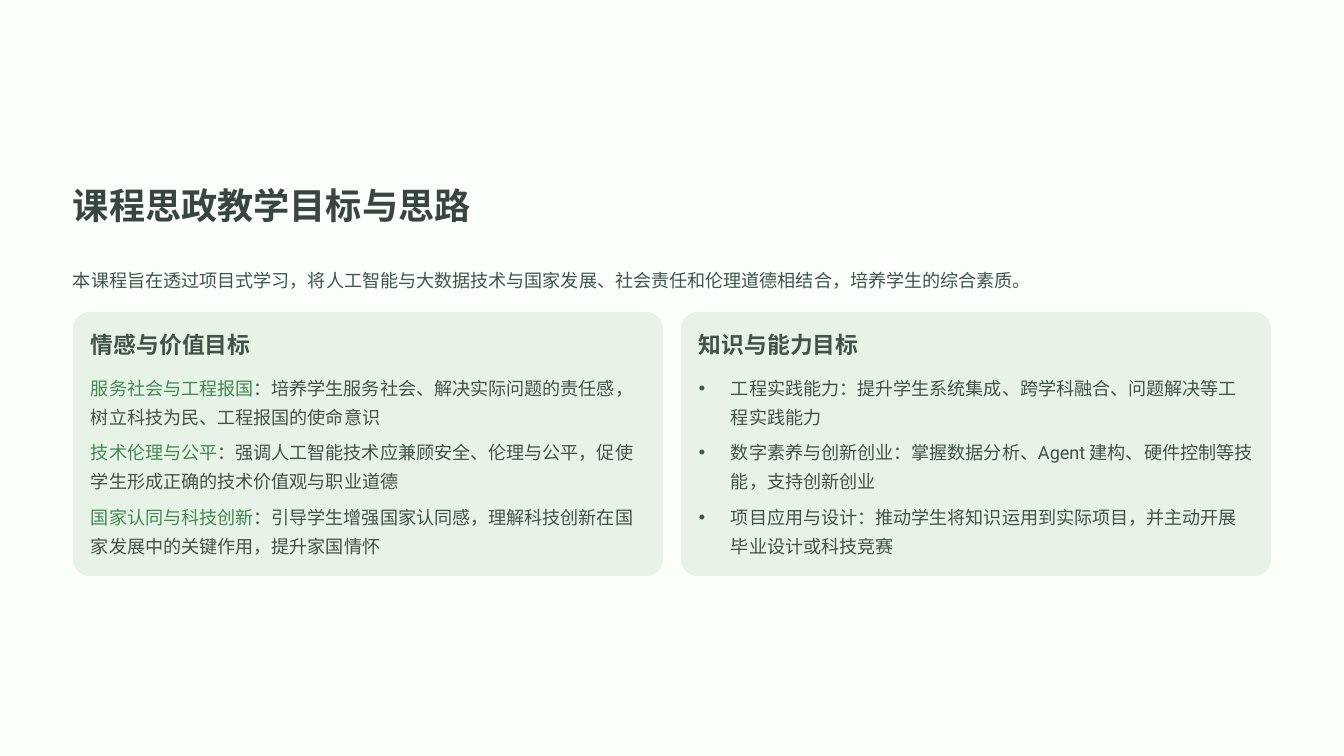
from lxml import etree
from pptx import Presentation
from pptx import util as u
from pptx.dml.color import RGBColor
from pptx.enum import shapes, text
from pptx.oxml.ns import qn

PAPER = RGBColor(0xFA, 0xFF, 0xFA)
MINT = RGBColor(0xE8, 0xF3, 0xE8)
DARK = RGBColor(0x3B, 0x45, 0x40)
INK = RGBColor(0x40, 0x54, 0x49)
GREEN = RGBColor(0x43, 0x89, 0x51)

SCALE = 914400 / 84  # EMU per px


def px(n):
    return u.Emu(round(n * SCALE))


class Deck:
    head, body = "Arial", "Roboto"

    def __init__(self, wide, high):
        self.prs = Presentation()
        self.prs.slide_width, self.prs.slide_height = px(wide), px(high)
        self.slide = self.prs.slides.add_slide(self.prs.slide_layouts[6])
        fill = self.slide.background.fill
        fill.solid()
        fill.fore_color.rgb = PAPER

    def card(self, *box):
        shape = self.slide.shapes.add_shape(
            shapes.MSO_SHAPE.ROUNDED_RECTANGLE, *map(px, box))
        shape.adjustments[0] = 0.062
        shape.shadow.inherit = False
        shape.fill.solid()
        shape.fill.fore_color.rgb = MINT
        shape.line.fill.background()

    def label(self, box, runs, size, lead, font=body, bold=False,
              wrap=False, dot=False):
        frame = self.slide.shapes.add_textbox(*map(px, box)).text_frame
        frame.margin_left = frame.margin_right = 0
        frame.margin_top = frame.margin_bottom = 0
        frame.word_wrap = wrap
        frame.vertical_anchor = text.MSO_ANCHOR.TOP
        para = frame.paragraphs[0]
        para.line_spacing = u.Pt(lead)
        if dot:
            self.bullet(para, 32)
        for words, color in runs:
            run = para.add_run()
            run.text = words
            run.font.name, run.font.size = font, u.Pt(size)
            run.font.bold = bold
            run.font.color.rgb = color

    def bullet(self, para, gap):
        props = para._p.get_or_add_pPr()
        props.set("marL", str(px(gap)))
        props.set("indent", str(-px(gap)))
        etree.SubElement(props, qn("a:buFont")).set("typeface", "Arial")
        etree.SubElement(props, qn("a:buChar")).set("char", "•")

    def title(self, box, words, size, lead, color):
        self.label(box, [(words, color)], size, lead, self.head, bold=True)

    def panel(self, left, top, name, items, dot):
        self.card(left, top, 590, 264)
        edge = left + 18
        self.title((edge, top + 18, 228, 29), name, 19.5, 24, INK)
        for i, runs in enumerate(items):
            box = (edge, top + 58 + i * 129 // 2, 554, 58)
            self.label(box, runs, 15.5, 25, wrap=True, dot=dot)


VALUES = [
    ("服务社会与工程报国", "：培养学生服务社会、解决实际问题的责任感，树立科技为民、工程报国的使命意识"),
    ("技术伦理与公平", "：强调人工智能技术应兼顾安全、伦理与公平，促使学生形成正确的技术价值观与职业道德"),
    ("国家认同与科技创新", "：引导学生增强国家认同感，理解科技创新在国家发展中的关键作用，提升家国情怀"),
]
SKILLS = [
    "工程实践能力：提升学生系统集成、跨学科融合、问题解决等工程实践能力",
    "数字素养与创新创业：掌握数据分析、Agent 建构、硬件控制等技能，支持创新创业",
    "项目应用与设计：推动学生将知识运用到实际项目，并主动开展毕业设计或科技竞赛",
]


def main():
    deck = Deck(1344, 756)

    # Title and lead sentence
    deck.title((73, 181, 401, 45), "课程思政教学目标与思路", 31, 39, DARK)
    deck.label((73, 262, 1198, 29), [(
        "本课程旨在透过项目式学习，将人工智能与大数据技术与国家发展、"
        "社会责任和伦理道德相结合，培养学生的综合素质。", INK)], 15.5, 25)

    # Two goal panels
    values = [[(key, GREEN), (rest, INK)] for key, rest in VALUES]
    skills = [[(words, INK)] for words in SKILLS]
    deck.panel(73, 312, "情感与价值目标", values, dot=False)
    deck.panel(681, 312, "知识与能力目标", skills, dot=True)

    deck.prs.save("out.pptx")


if __name__ == "__main__":
    main()
